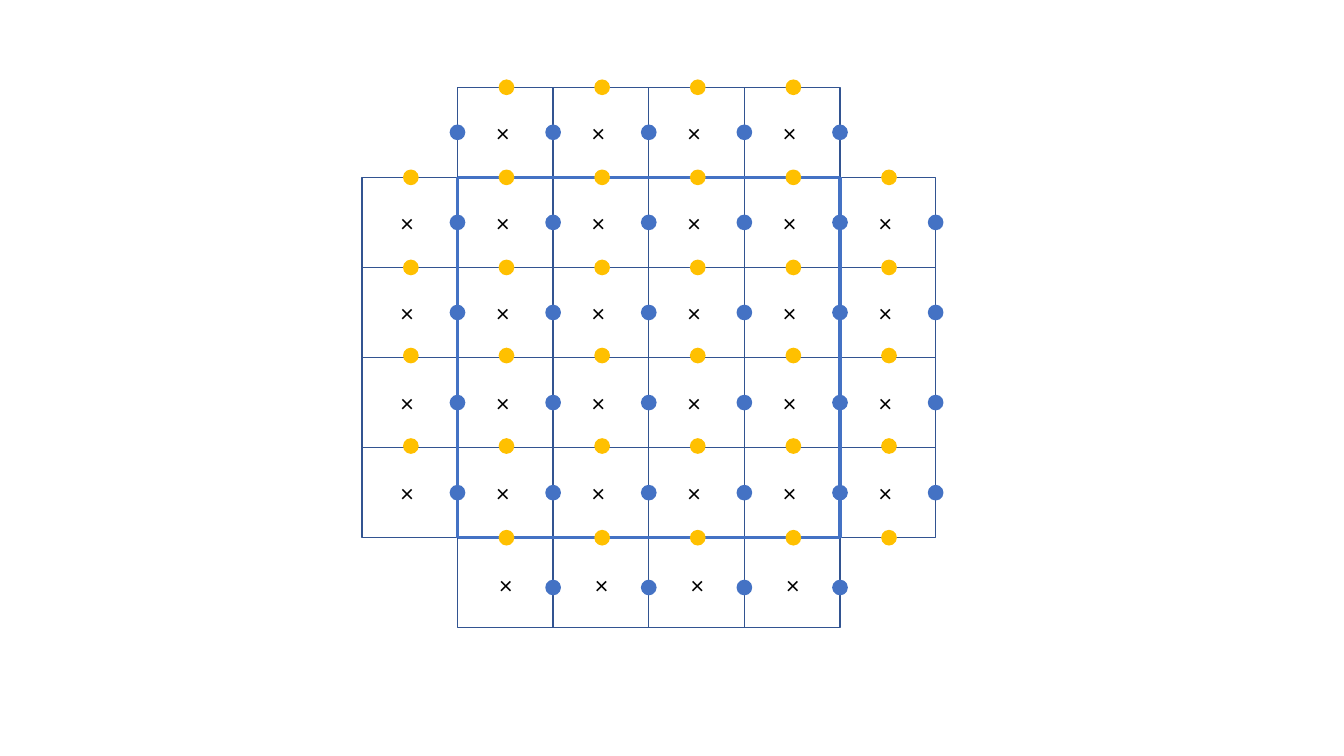
from dataclasses import dataclass
from itertools import product

from lxml.etree import SubElement
from pptx import Presentation
from pptx.dml.color import RGBColor
from pptx.enum.shapes import MSO_CONNECTOR, MSO_SHAPE
from pptx.enum.text import MSO_AUTO_SIZE
from pptx.oxml.ns import qn
from pptx.slide import Slide
from pptx.util import Cm, Pt

COLORS = {"cell": "325491", "blue": "4472C4", "yellow": "FFC000", "cross": "000000"}
LEFT, TOP = 9.12, 2.2
CELL_WIDTH, CELL_HEIGHT = 2.41, 2.27
GRID_SIZE = 6
DOT_SIZE = 0.36
CROSS_WIDTH, CROSS_HEIGHT = 0.94, 1.02
FRAME_WIDTH = 2.25
CROSS_FRAME = {"word_wrap": False, "auto_size": MSO_AUTO_SIZE.SHAPE_TO_FIT_TEXT}
CROSS_FONT = {"name": "Calibri", "size": Pt(18)}
CROSS_NUDGES = {5: (0.08, 0.05)}
BLUE_NUDGES = {5: 0.12}
YELLOW_NUDGES = {3: -0.05, 4: -0.04}


@dataclass(frozen=True)
class Cell:
    """A grid cell given by its column and row."""

    column: int
    row: int

    @property
    def left(self) -> float:
        """Return the left edge in centimetres."""
        return LEFT + self.column * CELL_WIDTH

    @property
    def top(self) -> float:
        """Return the top edge in centimetres."""
        return TOP + self.row * CELL_HEIGHT

    @property
    def center(self) -> tuple[float, float]:
        """Return the middle of the cell in centimetres."""
        return self.left + CELL_WIDTH / 2, self.top + CELL_HEIGHT / 2


@dataclass(frozen=True)
class Dot:
    """A coloured dot given by its centre in centimetres."""

    x: float
    y: float
    color: str


@dataclass(frozen=True)
class FrameLine:
    """A line between two grid corners."""

    start: Cell
    end: Cell


def color_of(name: str) -> RGBColor:
    """Return the named colour."""
    return RGBColor.from_string(COLORS[name])


def apply_format(target: object, values: dict[str, object]) -> None:
    """Set every format value on the target."""
    for name, value in values.items():
        setattr(target, name, value)


def grid_cells() -> list[Cell]:
    """Return the cells of the grid without its four corners."""
    ends = (0, GRID_SIZE - 1)
    places = product(range(GRID_SIZE), repeat=2)
    return [Cell(column, row) for row, column in places if not (row in ends and column in ends)]


def blue_dots() -> list[Dot]:
    """Return the dots on the vertical cell edges."""
    spans = {0: range(1, 6), 5: range(2, 6)}
    return [
        Dot(cell.left, cell.center[1] + BLUE_NUDGES.get(row, 0), "blue")
        for row in range(GRID_SIZE)
        for cell in (Cell(column, row) for column in spans.get(row, range(1, 7)))
    ]


def yellow_dots() -> list[Dot]:
    """Return the dots on the horizontal cell edges."""
    spans = {0: range(1, 5), 5: range(1, 6)}
    return [
        Dot(cell.center[0] + 0.03, cell.top + YELLOW_NUDGES.get(row, 0), "yellow")
        for row in range(GRID_SIZE)
        for cell in (Cell(column, row) for column in spans.get(row, range(GRID_SIZE)))
    ]


def frame_lines() -> list[FrameLine]:
    """Return the four sides of the inner square."""
    corners = [Cell(1, 1), Cell(5, 1), Cell(5, 5), Cell(1, 5)]
    return [FrameLine(start, end) for start, end in zip(corners, corners[1:] + corners[:1])]


def draw_cell(slide: Slide, cell: Cell) -> None:
    """Draw the outline of a cell."""
    shape = slide.shapes.add_shape(
        MSO_SHAPE.RECTANGLE, Cm(cell.left), Cm(cell.top), Cm(CELL_WIDTH), Cm(CELL_HEIGHT)
    )
    shape.shadow.inherit = False
    shape.fill.background()
    shape.line.color.rgb = color_of("cell")
    shape.line.width = Pt(1)


def draw_cross(slide: Slide, cell: Cell) -> None:
    """Write the cross in the middle of a cell."""
    x, y = cell.center
    across, down = CROSS_NUDGES.get(cell.row, (0, 0))
    shape = slide.shapes.add_textbox(
        Cm(x + across - CROSS_WIDTH / 2),
        Cm(y + down - CROSS_HEIGHT / 2),
        Cm(CROSS_WIDTH),
        Cm(CROSS_HEIGHT),
    )
    apply_format(shape.text_frame, CROSS_FRAME)
    run = shape.text_frame.paragraphs[0].add_run()
    run.text = "×"
    apply_format(run.font, CROSS_FONT)
    run.font.color.rgb = color_of("cross")


def draw_frame_line(slide: Slide, line: FrameLine) -> None:
    """Draw one side of the inner square."""
    connector = slide.shapes.add_connector(
        MSO_CONNECTOR.STRAIGHT,
        Cm(line.start.left),
        Cm(line.start.top),
        Cm(line.end.left),
        Cm(line.end.top),
    )
    connector.line.color.rgb = color_of("blue")
    connector.line.width = Pt(FRAME_WIDTH)
    SubElement(connector._element.spPr, qn("a:effectLst"))


def draw_dot(slide: Slide, dot: Dot) -> None:
    """Draw a filled dot."""
    shape = slide.shapes.add_shape(
        MSO_SHAPE.OVAL,
        Cm(dot.x - DOT_SIZE / 2),
        Cm(dot.y - DOT_SIZE / 2),
        Cm(DOT_SIZE),
        Cm(DOT_SIZE),
    )
    shape.shadow.inherit = False
    shape.fill.solid()
    shape.fill.fore_color.rgb = color_of(dot.color)
    shape.line.color.rgb = color_of(dot.color)
    shape.line.width = Pt(1)


def main() -> None:
    """Build the staggered grid slide."""
    presentation = Presentation()
    apply_format(presentation, {"slide_width": Cm(33.87), "slide_height": Cm(19.05)})
    slide = presentation.slides.add_slide(presentation.slide_layouts[6])
    cells = grid_cells()
    for cell in cells:
        draw_cell(slide, cell)
    for cell in cells:
        draw_cross(slide, cell)
    for line in frame_lines():
        draw_frame_line(slide, line)
    for dot in blue_dots() + yellow_dots():
        draw_dot(slide, dot)
    presentation.save("out.pptx")


if __name__ == "__main__":
    main()
